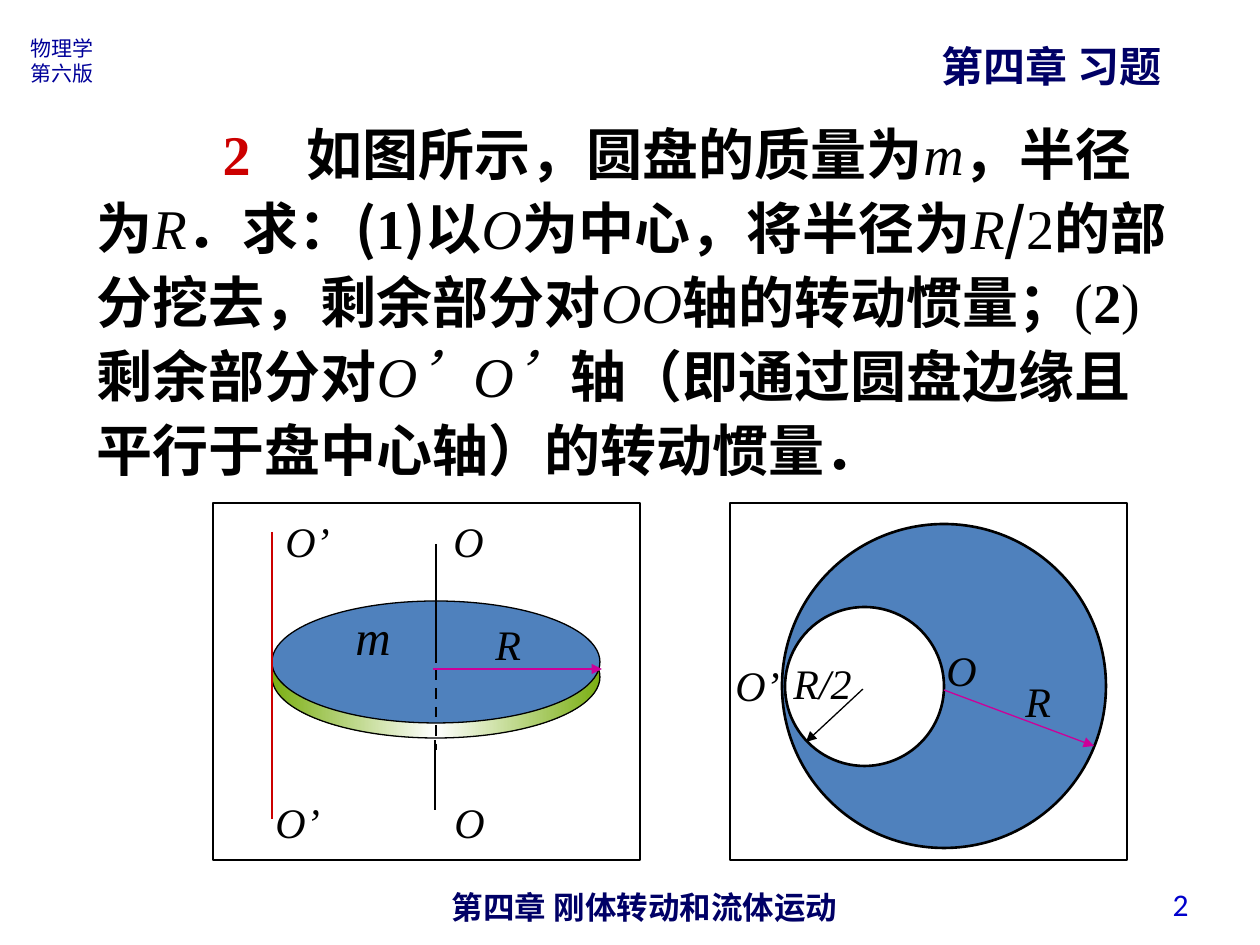
"""Build the rotating disc exercise slide with its two diagrams."""
from copy import deepcopy

from lxml.etree import SubElement
from pptx import Presentation
from pptx.dml.color import RGBColor
from pptx.enum.dml import MSO_LINE
from pptx.enum.shapes import MSO_CONNECTOR as LINK, MSO_SHAPE as SHAPE
from pptx.enum.text import MSO_ANCHOR as ANCHOR, MSO_AUTO_SIZE as FIT, PP_ALIGN as ALIGN
from pptx.oxml.ns import qn
from pptx.util import Pt

CJK, SANS, SERIF, DIGIT = "Noto Sans CJK SC", "Arial", "Times New Roman", "Calibri"
THEME = {
    "navy": "000066", "edition": "000099", "number": "0000CC", "ink": "000000",
    "red": "CC0000", "magenta": "CC0099", "disc": "4F81BD", "hole": "FFFFFF",
    "rim": "7BAF13", "shine": "FFFFFF",
    "small": 12, "footer": 18, "label": 24, "mass": 28, "problem": 32,
    "leading": 1.2, "problem_leading": 1.1, "thin": 0.75, "thick": 1.5,
}
EMU_PER_PX = 914400 / 126

CHAPTER = ("第四章 习题", (929, 34, 256, 63))
EDITION = (["物理学", "第六版"], (18, 29, 91, 63))
FOOTER = ("第四章 刚体转动和流体运动", (431, 882, 427, 38))
NUMBER = ("2", (907, 879, 294, 50))

RUN_STYLES = {
    "text": (SANS, True, False), "heavy": (CJK, True, False),
    "number": (SERIF, True, False), "plain": (SERIF, False, False),
    "symbol": (SERIF, False, True), "prime": (CJK, False, True),
}
PROBLEM_BOX, PROBLEM_INDENT = (84, 107, 1111, 383), 126
PROBLEM = [
    ("number", "2　", "red"), ("text", "如图所示，圆盘的质量为"), ("symbol", "m"),
    ("text", "，半径为"), ("symbol", "R"), ("text", "．求："), ("heavy", "("),
    ("number", "1"), ("heavy", ")以"), ("symbol", "O"), ("heavy", "为中心，将半径为"),
    ("symbol", "R"), ("heavy", "/"), ("plain", "2"), ("number", "的部分挖去，剩余部分对"),
    ("symbol", "OO"), ("number", "轴的转动惯量；"), ("plain", "("), ("number", "2"),
    ("plain", ")"), ("text", "剩余部分对"), ("symbol", "O"), ("prime", "’"),
    ("symbol", "O"), ("prime", "’"), ("text", "轴（即通过圆盘边缘且平行于盘中心轴）的转动惯量．"),
]

OUTLINES = [
    (SHAPE.OVAL, (272, 616, 328, 122), "gradient", "thin"),
    (SHAPE.OVAL, (272, 601, 328, 122), "disc", "thin"),
    (SHAPE.RECTANGLE, (213, 503, 427, 357), None, "thin"),
    (SHAPE.OVAL, (782, 524, 324, 324), "disc", "thick"),
    (SHAPE.OVAL, (785, 607, 159, 159), "hole", "thick"),
    (SHAPE.RECTANGLE, (730, 503, 397, 357), None, "thin"),
]
AXES = [
    ((436, 544, 436, 663), "ink", False),
    ((435, 740, 435, 810), "ink", False),
    ((436, 670, 436, 750), "ink", True),
    ((272, 532, 272, 819), "red", False),
]
RADII = [
    ((433, 669, 602, 669), "magenta"),
    ((944, 690, 1094, 746), "magenta"),
    ((863, 689, 806, 742), "ink"),
]
LABEL_WIDTHS = {"m": 60, "O’": 69, "O": 55, "R": 50, "R/2": 93}
LABELS = [
    ("m", 343, 600), ("O’", 273, 509), ("O’", 263, 790), ("O", 442, 790),
    ("O", 441, 509), ("R", 483, 612), ("O", 934, 638), ("O’", 723, 653),
    ("R", 1013, 669), ("R/2", 781, 651),
]


def px(*lengths):
    return [round(length * EMU_PER_PX) for length in lengths]


def rgb(role):
    return RGBColor.from_string(THEME[role])


def set_face(font, face):
    font.name = face
    SubElement(font._rPr, qn("a:ea")).set("typeface", CJK)


def write(holder, lines, face, size, color, bold=False, italic=False,
          align=ALIGN.LEFT, anchor=ANCHOR.TOP, wrap=True, leading=None):
    frame = holder.text_frame
    frame.auto_size, frame.word_wrap, frame.vertical_anchor = FIT.NONE, wrap, anchor
    frame.text = "\n".join(lines)
    for paragraph in frame.paragraphs:
        paragraph.alignment = align
        if leading:
            paragraph.line_spacing = Pt(round(THEME[size] * leading, 1))
        font = paragraph.font
        font.size, font.bold, font.italic = Pt(THEME[size]), bold, italic
        font.color.rgb = rgb(color)
        set_face(font, face)


def place(holder, box):
    holder.left, holder.top, holder.width, holder.height = px(*box)


def write_problem(holder):
    place(holder, PROBLEM_BOX)
    frame = holder.text_frame
    frame.auto_size, frame.word_wrap = FIT.NONE, True
    paragraph = frame.paragraphs[0]
    paragraph.space_before = Pt(0)
    paragraph.line_spacing = Pt(
        round(THEME["problem"] * THEME["leading"] * THEME["problem_leading"], 1))
    properties = paragraph._p.get_or_add_pPr()
    properties.set("marL", "0")
    properties.set("indent", str(px(PROBLEM_INDENT)[0]))
    SubElement(properties, qn("a:buNone"))
    paragraph.font.size = Pt(THEME["problem"])
    paragraph.font.color.rgb = rgb("ink")
    for style, words, *color in PROBLEM:
        run = paragraph.add_run()
        run.text = words
        face, run.font.bold, run.font.italic = RUN_STYLES[style]
        if color:
            run.font.color.rgb = rgb(color[0])
        set_face(run.font, face)


def fill_rim(rim):
    rim.fill.gradient()
    rim.fill.gradient_angle = 0
    for stop in rim.fill.gradient_stops:
        stop.color.rgb = rgb("rim")
    stops = rim.element.spPr.find(".//" + qn("a:gsLst"))
    middle = deepcopy(stops[0])
    middle.set("pos", "50000")
    middle.find(qn("a:srgbClr")).set("val", THEME["shine"])
    stops.insert(1, middle)


def draw_outline(shapes, kind, box, fill, weight):
    outline = shapes.add_shape(kind, *px(*box))
    outline.shadow.inherit = False
    outline.line.color.rgb = rgb("ink")
    outline.line.width = Pt(THEME[weight])
    if fill == "gradient":
        fill_rim(outline)
    elif fill:
        outline.fill.solid()
        outline.fill.fore_color.rgb = rgb(fill)
    else:
        outline.fill.background()


def draw_line(shapes, ends, color, weight, dashed=False, arrow=False):
    link = shapes.add_connector(LINK.STRAIGHT, *px(*ends))
    link.line.color.rgb = rgb(color)
    link.line.width = Pt(THEME[weight])
    if dashed:
        link.line.dash_style = MSO_LINE.DASH
    if arrow:
        SubElement(link.get_or_add_ln(), qn("a:tailEnd")).set("type", "triangle")
    SubElement(link.element.spPr, qn("a:effectLst"))


def main():
    deck = Presentation()
    deck.slide_width, deck.slide_height = px(1260, 945)
    slide = deck.slides.add_slide(deck.slide_layouts[1])
    shapes = slide.shapes
    leading = THEME["leading"]

    chapter, box = CHAPTER
    place(shapes.title, box)
    write(shapes.title, [chapter], CJK, "label", "navy", bold=True, wrap=False, leading=leading)
    write_problem(slide.placeholders[1])

    edition, box = EDITION
    write(shapes.add_textbox(*px(*box)), edition, CJK, "small", "edition", leading=leading)
    footer, box = FOOTER
    write(shapes.add_textbox(*px(*box)), [footer], SANS, "footer", "navy", bold=True,
          align=ALIGN.CENTER, leading=leading)
    number, box = NUMBER
    write(shapes.add_textbox(*px(*box)), [number], DIGIT, "footer", "number",
          align=ALIGN.RIGHT, anchor=ANCHOR.MIDDLE)

    for outline in OUTLINES:
        draw_outline(shapes, *outline)
    for ends, color, dashed in AXES:
        draw_line(shapes, ends, color, "thick", dashed=dashed)
    for ends, color in RADII:
        draw_line(shapes, ends, color, "thin", arrow=True)
    for symbol, left, top in LABELS:
        size, height = ("mass", 72) if symbol == "m" else ("label", 63)
        label = shapes.add_textbox(*px(left, top, LABEL_WIDTHS[symbol], height))
        write(label, [symbol], SERIF, size, "ink", italic=True, wrap=False)

    deck.save("out.pptx")


if __name__ == "__main__":
    main()
